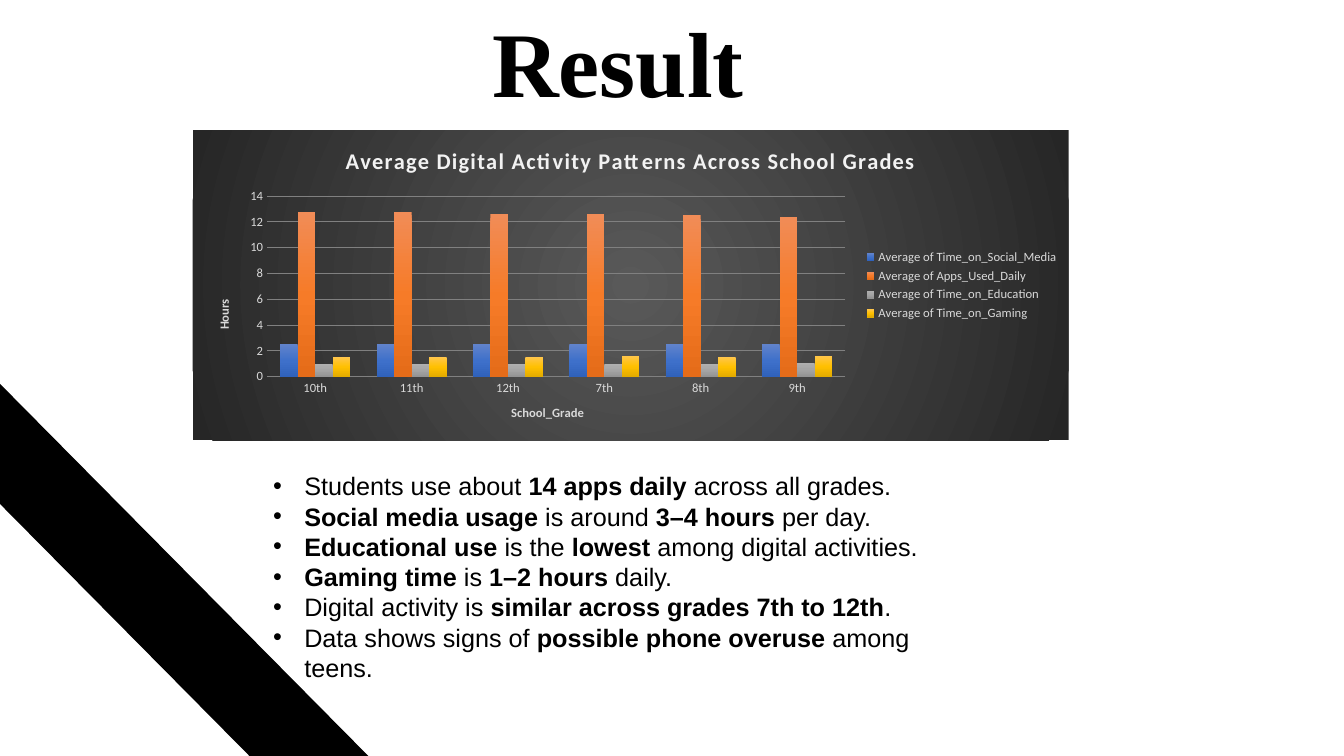
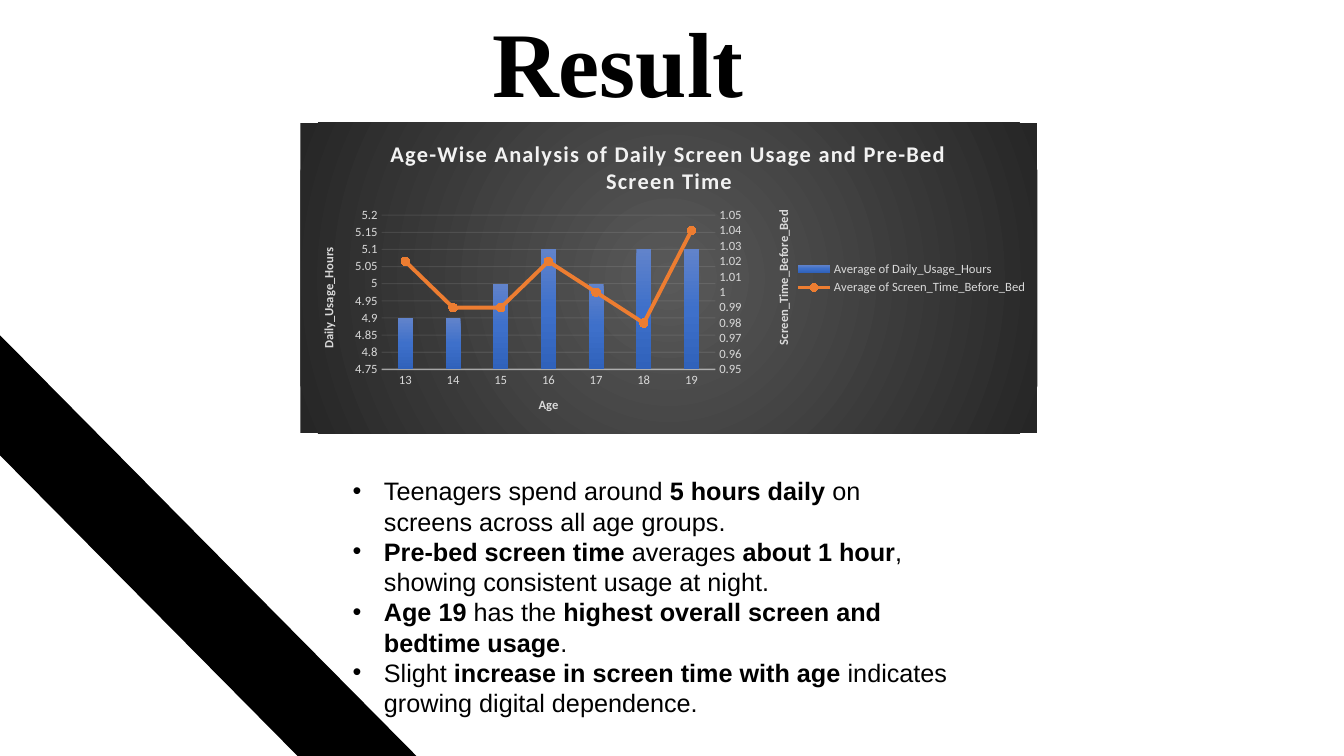
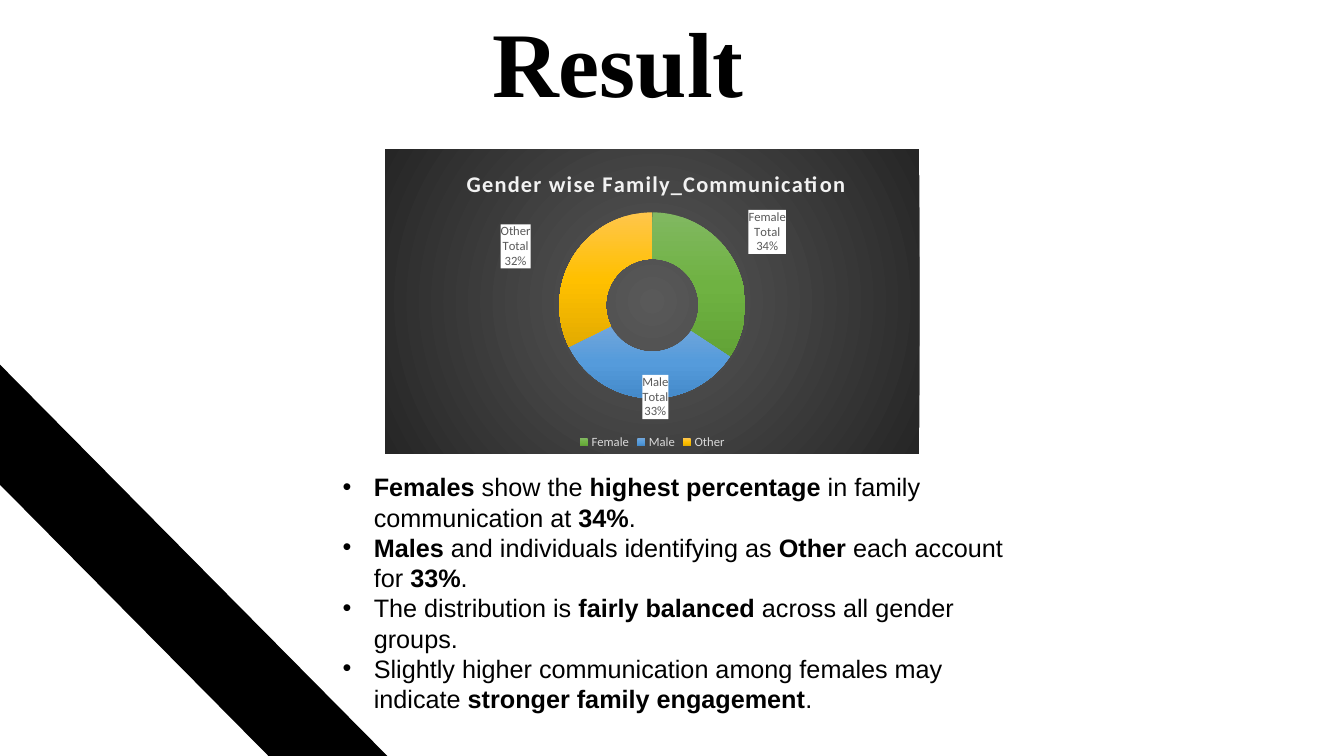
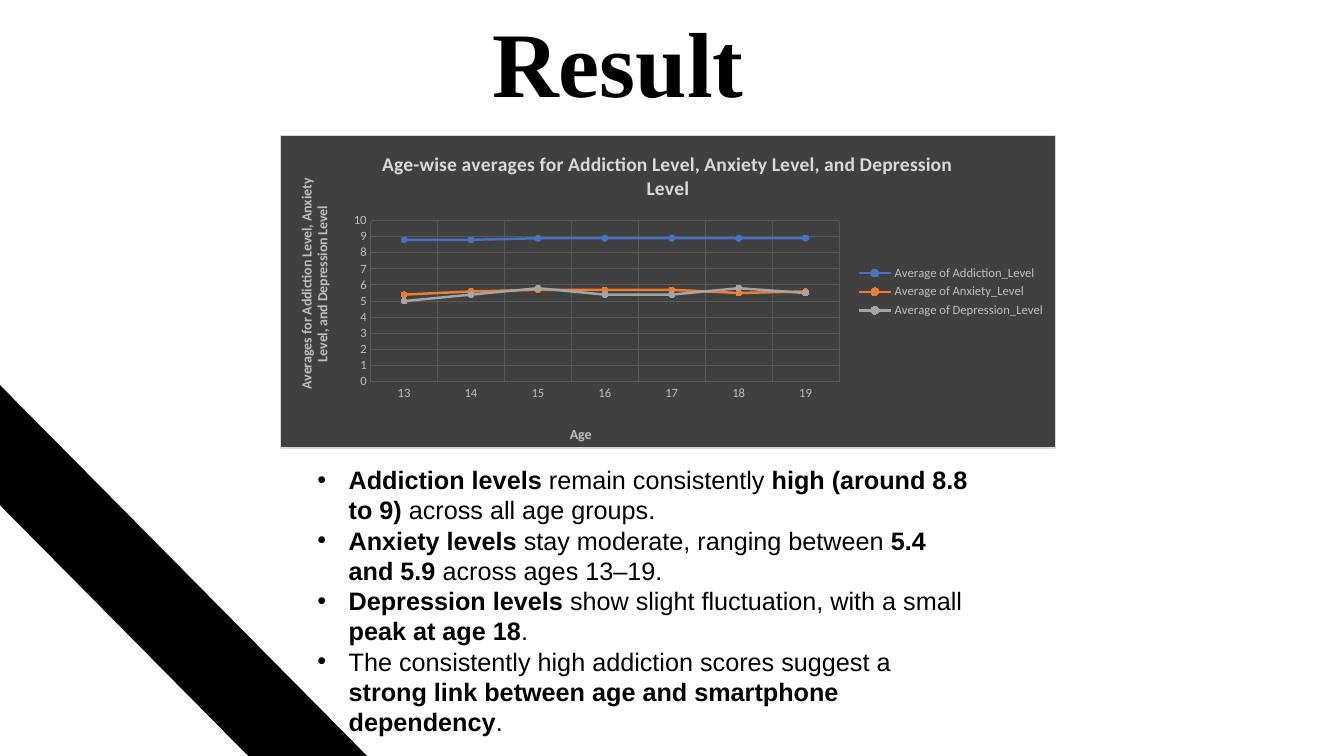
from pptx import Presentation
from pptx.chart import data as chart_data
from pptx.chart.axis import ValueAxis
from pptx.dml.color import RGBColor
from pptx.enum import chart as ch, shapes, text
from pptx.oxml import parse_xml
from pptx.oxml.ns import nsdecls, qn
from pptx.util import Inches, Pt

BLACK = RGBColor(0x00, 0x00, 0x00)
WHITE = RGBColor(0xFF, 0xFF, 0xFF)
CHARCOAL = RGBColor(0x40, 0x40, 0x40)
GRAPHITE = RGBColor(0x59, 0x59, 0x59)
SOOT = RGBColor(0x26, 0x26, 0x26)
MID_GREY = RGBColor(0x80, 0x80, 0x80)
SILVER = RGBColor(0xBF, 0xBF, 0xBF)
LIGHT_GREY = RGBColor(0xD9, 0xD9, 0xD9)
PALE_GREY = RGBColor(0xF2, 0xF2, 0xF2)
BLUE = RGBColor(0x44, 0x72, 0xC4)
ORANGE = RGBColor(0xED, 0x7D, 0x31)
GREY = RGBColor(0xA5, 0xA5, 0xA5)
LINE_COLOURS = [(BLUE, RGBColor(0x8F, 0xAA, 0xDC)),
                (ORANGE, RGBColor(0xF4, 0xB1, 0x83)),
                (GREY, RGBColor(0xC9, 0xC9, 0xC9))]
MARKER_ORANGE = RGBColor(0xF6, 0x7B, 0x28)


def shades(*codes):
    return [RGBColor.from_string(code) for code in codes]


BLUE_SHADES = shades("6183CB", "3E70CA", "3062BB")
ORANGE_SHADES = shades("F18C57", "F67B28", "E56C19")
GREY_SHADES = shades("AFAFAF", "A5A5A5", "939393")
GOLD_SHADES = shades("FFC64B", "FFC000", "E3AB00")
GREEN_SHADES = shades("81B861", "6FB242", "62A336")
SKY_SHADES = shades("71A6DB", "559BDB", "448ACA")
AGES = [str(age) for age in range(13, 20)]


def gradient(colours, direction):
    last = len(colours) - 1
    stops = "".join(f'<a:gs pos="{100000 * i // last}"><a:srgbClr val="{c}"/></a:gs>'
                    for i, c in enumerate(colours))
    return f'<a:gradFill {nsdecls("a")}><a:gsLst>{stops}</a:gsLst>{direction}</a:gradFill>'


def fill_shaded(fmt, colours):
    """Give a series or point a top-to-bottom gradient."""
    fmt.fill.solid()
    solid = fmt.element.find(qn("c:spPr")).find(qn("a:solidFill"))
    solid.getparent().replace(solid, parse_xml(gradient(colours, '<a:lin ang="5400000" scaled="0"/>')))


def set_alpha(line, percent):
    """Make the solid line of an axis or gridline see-through."""
    props = line.element.find(qn("c:spPr"))
    colour = next(props.iter(qn("a:srgbClr")))
    colour.append(parse_xml(f'<a:alpha {nsdecls("a")} val="{percent * 1000}"/>'))


def manual_layout(x, y, w=None, h=None):
    inner = '<c:layoutTarget val="inner"/>' if w else ""
    size = f'<c:w val="{w}"/><c:h val="{h}"/>' if w else ""
    return (f'<c:layout {nsdecls("c")}><c:manualLayout>{inner}<c:xMode val="edge"/><c:yMode val="edge"/>'
            f'<c:x val="{x}"/><c:y val="{y}"/>{size}</c:manualLayout></c:layout>')


def place(part, *box):
    """Fix a plot area or title at fractions of the chart."""
    layout = parse_xml(manual_layout(*box))
    old = part.find(qn("c:layout"))
    if old is None:
        part.insert(0, layout)
    else:
        part.replace(old, layout)


def set_font(font, size, colour, bold=False, name="Calibri"):
    font.size, font.bold, font.name = Pt(size), bold, name
    font.color.rgb = colour


def paint_background(chart, fill, line):
    chart.element.find(qn("c:chart")).addnext(
        parse_xml(f'<c:spPr {nsdecls("c", "a")}>{fill}<a:ln w="9525">{line}</a:ln></c:spPr>'))


def paint_dark_glow(chart):
    focus = '<a:path path="circle"><a:fillToRect l="50000" t="50000" r="50000" b="50000"/></a:path>'
    paint_background(chart, gradient([GRAPHITE, SOOT], focus), "<a:noFill/>")


def add_chart(slide, kind, box, title, plot_box, categories, series, legend_colour=LIGHT_GREY,
              title_style=(16, PALE_GREY, 100), legend_at=ch.XL_LEGEND_POSITION.RIGHT):
    data = chart_data.CategoryChartData()
    data.categories = categories
    for name, values in series:
        data.add_series(name, values)
    chart = slide.shapes.add_chart(kind, *map(Inches, box), data).chart
    set_font(chart.font, 10, BLACK)

    size, colour, spacing = title_style
    chart.has_title = True
    chart.chart_title.text_frame.text = title
    run = chart.chart_title.text_frame.paragraphs[0].runs[0]
    set_font(run.font, size, colour, True)
    run._r.get_or_add_rPr().set("spc", str(spacing))

    chart.has_legend = True
    chart.legend.position = legend_at
    chart.legend.include_in_layout = False
    set_font(chart.legend.font, 9, legend_colour)
    place(next(chart.element.iter(qn("c:plotArea"))), *plot_box)
    return chart


def style_axis(axis, title, title_at, colour=LIGHT_GREY, title_size=9, upright=False,
               scale=None, grid=None):
    """scale is (minimum, maximum, step); title_at is a fraction of the chart."""
    axis.major_tick_mark = axis.minor_tick_mark = ch.XL_TICK_MARK.NONE
    set_font(axis.tick_labels.font, 9, colour)
    axis.format.line.fill.background()
    axis.has_title = True
    axis.axis_title.text_frame.text = title
    set_font(axis.axis_title.text_frame.paragraphs[0].runs[0].font, title_size, colour, True)
    place(axis.axis_title.element, *title_at)
    if upright:
        body = next(axis.axis_title.element.iter(qn("a:bodyPr")))
        body.set("rot", "-5400000")
        body.set("vert", "horz")
    if scale:
        axis.minimum_scale, axis.maximum_scale, axis.major_unit = scale
    axis.has_major_gridlines = grid is not None
    if grid is not None:
        axis.major_gridlines.format.line.color.rgb = grid
        axis.major_gridlines.format.line.width = Pt(0.75)


def style_line(series, colour, width, marker_size, marker_colour):
    series.smooth = False
    series.format.line.color.rgb = colour
    series.format.line.width = Pt(width)
    series.marker.style = ch.XL_MARKER_STYLE.CIRCLE
    series.marker.size = marker_size
    series.marker.format.fill.solid()
    series.marker.format.fill.fore_color.rgb = marker_colour
    series.marker.format.line.color.rgb = colour


def activity_chart(slide, box):
    chart = add_chart(
        slide, ch.XL_CHART_TYPE.COLUMN_CLUSTERED, box,
        "Average Digital Activity Patterns Across School Grades", (0.085, 0.213, 0.66, 0.582),
        ["10th", "11th", "12th", "7th", "8th", "9th"],
        [("Average of Time_on_Social_Media", [2.5] * 6),
         ("Average of Apps_Used_Daily", [12.8, 12.8, 12.6, 12.6, 12.5, 12.4]),
         ("Average of Time_on_Education", [1, 1, 1, 1, 1, 1.1]),
         ("Average of Time_on_Gaming", [1.5, 1.5, 1.5, 1.6, 1.5, 1.6])])
    paint_dark_glow(chart)
    plot = chart.plots[0]
    plot.vary_by_categories = False
    plot.gap_width, plot.overlap = 150, 0
    for series, colours in zip(plot.series, [BLUE_SHADES, ORANGE_SHADES, GREY_SHADES, GOLD_SHADES]):
        fill_shaded(series.format, colours)
    style_axis(chart.category_axis, "School_Grade", (0.361, 0.877))
    style_axis(chart.value_axis, "Hours", (0.024, 0.537), upright=True, scale=(0, 14, 2), grid=MID_GREY)


def move_to_second_axis(chart):
    """Turn the last column series into a line with its own right-hand axis, and return that axis."""
    bars = next(chart.element.iter(qn("c:barChart")))
    moved = bars.findall(qn("c:ser"))[-1]
    invert = moved.find(qn("c:invertIfNegative"))
    if invert is not None:
        moved.remove(invert)
    lines = parse_xml(f'<c:lineChart {nsdecls("c")}><c:grouping val="standard"/><c:varyColors val="0"/>'
                      '<c:marker val="1"/><c:axId val="5001"/><c:axId val="5002"/></c:lineChart>')
    lines.insert(2, moved)
    bars.addnext(lines)

    def axis_xml(kind, own, other, hidden, side, crosses):
        return parse_xml(
            f'<c:{kind} {nsdecls("c")}><c:axId val="{own}"/>'
            f'<c:scaling><c:orientation val="minMax"/></c:scaling><c:delete val="{hidden}"/>'
            f'<c:axPos val="{side}"/><c:numFmt formatCode="General" sourceLinked="0"/>'
            '<c:majorTickMark val="none"/><c:minorTickMark val="none"/><c:tickLblPos val="nextTo"/>'
            f'<c:crossAx val="{other}"/><c:crosses val="{crosses}"/></c:{kind}>')

    right = axis_xml("valAx", 5002, 5001, 0, "r", "max")
    primary = next(chart.element.iter(qn("c:valAx")))
    primary.addnext(right)
    right.addnext(axis_xml("catAx", 5001, 5002, 1, "b", "autoZero"))
    return ValueAxis(right)


def usage_chart(slide, box):
    chart = add_chart(
        slide, ch.XL_CHART_TYPE.COLUMN_CLUSTERED, box,
        "Age-Wise Analysis of Daily Screen Usage and Pre-Bed Screen Time",
        (0.11, 0.297, 0.453, 0.497), AGES,
        [("Average of Daily_Usage_Hours", [4.9, 4.9, 5, 5.1, 5, 5.1, 5.1]),
         ("Average of Screen_Time_Before_Bed", [1.02, 0.99, 0.99, 1.02, 1, 0.98, 1.04])])
    paint_dark_glow(chart)
    age_axis, hours_axis = chart.category_axis, chart.value_axis
    bedtime_axis = move_to_second_axis(chart)
    columns, line = chart.plots
    columns.vary_by_categories = False
    columns.gap_width = 219
    fill_shaded(columns.series[0].format, BLUE_SHADES)
    style_line(line.series[0], ORANGE, 2.75, 6, MARKER_ORANGE)

    style_axis(age_axis, "Age", (0.32, 0.874))
    age_axis.format.line.color.rgb = PALE_GREY
    age_axis.format.line.width = Pt(1)
    set_alpha(age_axis.format, 54)
    style_axis(hours_axis, "Daily_Usage_Hours", (0.024, 0.393), upright=True,
               scale=(4.75, 5.2, 0.05), grid=PALE_GREY)
    set_alpha(hours_axis.major_gridlines.format, 10)
    style_axis(bedtime_axis, "Screen_Time_Before_Bed", (0.641, 0.273), upright=True,
               scale=(0.95, 1.05, 0.01))


def label_slices(series, offsets):
    """Show category, series and percentage on white, each moved by its offset."""
    look = (f'<c:spPr><a:solidFill><a:srgbClr val="{WHITE}"/></a:solidFill><a:ln><a:noFill/></a:ln></c:spPr>'
            '<c:txPr><a:bodyPr/><a:lstStyle/><a:p><a:pPr><a:defRPr sz="900" b="0">'
            f'<a:solidFill><a:srgbClr val="{GRAPHITE}"/></a:solidFill><a:latin typeface="Calibri"/>'
            '</a:defRPr></a:pPr><a:endParaRPr lang="en-US"/></a:p></c:txPr>')
    content = ('<c:showLegendKey val="0"/><c:showVal val="0"/><c:showCatName val="1"/>'
               '<c:showSerName val="1"/><c:showPercent val="1"/><c:showBubbleSize val="0"/>'
               '<c:separator>\n</c:separator>')
    labels = "".join(
        f'<c:dLbl><c:idx val="{i}"/><c:layout><c:manualLayout><c:x val="{x}"/><c:y val="{y}"/>'
        f'</c:manualLayout></c:layout>{look}{content}</c:dLbl>' for i, (x, y) in enumerate(offsets))
    series.format.element.find(qn("c:cat")).addprevious(parse_xml(
        f'<c:dLbls {nsdecls("c", "a")}>{labels}{look}{content}'
        '<c:showLeaderLines val="0"/></c:dLbls>'))


def communication_chart(slide, box):
    chart = add_chart(
        slide, ch.XL_CHART_TYPE.DOUGHNUT, box, "Gender wise Family_Communication",
        (0.326, 0.207, 0.348, 0.612), ["Female", "Male", "Other"], [("Total", [34, 33, 32])],
        legend_at=ch.XL_LEGEND_POSITION.BOTTOM)
    paint_dark_glow(chart)
    place(chart.chart_title.element, 0.145, 0.052)
    total = chart.plots[0].series[0]
    for i, colours in enumerate([GREEN_SHADES, SKY_SHADES, GOLD_SHADES]):
        fill_shaded(total.points[i].format, colours)
    label_slices(total, [(0.1, -0.133), (0.014, 0.073), (-0.145, -0.073)])


def wellbeing_chart(slide, box):
    chart = add_chart(
        slide, ch.XL_CHART_TYPE.LINE_MARKERS, box,
        "Age-wise averages for Addiction Level, Anxiety Level, and Depression Level",
        (0.116, 0.272, 0.605, 0.516), AGES,
        [("Average of Addiction_Level", [8.8, 8.8, 8.9, 8.9, 8.9, 8.9, 8.9]),
         ("Average of Anxiety_Level", [5.4, 5.6, 5.7, 5.7, 5.7, 5.5, 5.6]),
         ("Average of Depression_Level", [5, 5.4, 5.8, 5.4, 5.4, 5.8, 5.5])],
        legend_colour=SILVER, title_style=(14, LIGHT_GREY, 0))
    solid = '<a:solidFill><a:srgbClr val="{}"/></a:solidFill>'
    paint_background(chart, solid.format(CHARCOAL), solid.format(LIGHT_GREY))
    chart.plots[0].vary_by_categories = False
    for series, (colour, marker_colour) in zip(chart.plots[0].series, LINE_COLOURS):
        style_line(series, colour, 1.75, 4, marker_colour)
    style_axis(chart.category_axis, "Age", (0.37, 0.92), SILVER, 10, grid=GRAPHITE)
    style_axis(chart.value_axis, "Averages for Addiction Level, Anxiety Level, and Depression Level",
               (0.018, 0.13), SILVER, 10, upright=True, scale=(0, 10, 1), grid=GRAPHITE)


def add_title(slide):
    frame = slide.shapes.add_textbox(Inches(1.13), Inches(-0.34), Inches(10), Inches(1.55)).text_frame
    frame.word_wrap = True
    frame.vertical_anchor = text.MSO_ANCHOR.BOTTOM
    frame.text = "Result"
    heading = frame.paragraphs[0]
    heading.alignment = text.PP_ALIGN.CENTER
    heading.line_spacing = 0.9
    run = heading.runs[0]
    set_font(run.font, 66, BLACK, True, "Times New Roman")
    run._r.get_or_add_rPr().insert(0, parse_xml(
        f'<a:ln {nsdecls("a")} w="9525"><a:solidFill><a:srgbClr val="{WHITE}"/></a:solidFill></a:ln>'))


def add_findings(slide, box, findings):
    """Bulleted list; text between ** marks is bold."""
    frame = slide.shapes.add_textbox(*map(Inches, box)).text_frame
    frame.word_wrap = True
    for i, finding in enumerate(findings):
        paragraph = frame.add_paragraph() if i else frame.paragraphs[0]
        props = paragraph._p.get_or_add_pPr()
        props.set("marL", str(Inches(0.31)))
        props.set("indent", str(-Inches(0.31)))
        props.append(parse_xml(f'<a:buFont {nsdecls("a")} typeface="Arial"/>'))
        props.append(parse_xml(f'<a:buChar {nsdecls("a")} char="•"/>'))
        for j, piece in enumerate(finding.split("**")):
            if piece:
                run = paragraph.add_run()
                run.text = piece
                set_font(run.font, 18, BLACK, j % 2 == 1, "Arial")


def add_corner_band(slide, left, top):
    band = slide.shapes.add_shape(shapes.MSO_SHAPE.FRAME, Inches(left), Inches(top),
                                  Inches(6.59), Inches(9.25))
    band.rotation = 315.3
    band.shadow.inherit = False
    band.fill.solid()
    band.fill.fore_color.rgb = BLACK
    band.line.color.rgb = BLACK
    band.line.width = Pt(1)


RESULTS = [
    (activity_chart, (1.91, 1.29, 8.69, 3.08), (2.61, 4.62, 6.68, 2.52), (-3.57, 3.6), [
        "Students use about **14 apps daily** across all grades.",
        "**Social media usage** is around **3–4 hours** per day.",
        "**Educational use** is the **lowest** among digital activities.",
        "**Gaming time** is **1–2 hours** daily.",
        "Digital activity is **similar across grades 7th to 12th**.",
        "Data shows signs of **possible phone overuse** among teens."]),
    (usage_chart, (2.98, 1.22, 7.31, 3.08), (3.4, 4.67, 6.14, 2.83), (-3.39, 3.3), [
        "Teenagers spend around **5 hours daily** on screens across all age groups.",
        "**Pre-bed screen time** averages **about 1 hour**, showing consistent usage at night.",
        "**Age 19** has the **highest overall screen and bedtime usage**.",
        "Slight **increase in screen time with age** indicates growing digital dependence."]),
    (communication_chart, (3.82, 1.48, 5.3, 3.02), (3.3, 4.63, 7.07, 2.83), (-3.54, 3.44), [
        "**Females** show the **highest percentage** in family communication at **34%**.",
        "**Males** and individuals identifying as **Other** each account for **33%**.",
        "The distribution is **fairly balanced** across all gender groups.",
        "Slightly higher communication among females may indicate **stronger family engagement**."]),
    (wellbeing_chart, (2.78, 1.34, 7.69, 3.11), (3.05, 4.56, 6.68, 2.83), (-3.81, 3.37), [
        "**Addiction levels** remain consistently **high (around 8.8 to 9)** across all age groups.",
        "**Anxiety levels** stay moderate, ranging between **5.4 and 5.9** across ages 13–19.",
        "**Depression levels** show slight fluctuation, with a small **peak at age 18**.",
        "The consistently high addiction scores suggest a "
        "**strong link between age and smartphone dependency**."]),
]


def main():
    deck = Presentation()
    deck.slide_width, deck.slide_height = Inches(13.33), Inches(7.5)
    for draw_chart, chart_box, findings_box, band_at, findings in RESULTS:
        slide = deck.slides.add_slide(deck.slide_layouts[6])
        add_title(slide)
        draw_chart(slide, chart_box)
        add_findings(slide, findings_box, findings)
        add_corner_band(slide, *band_at)
    deck.save("out.pptx")


if __name__ == "__main__":
    main()
